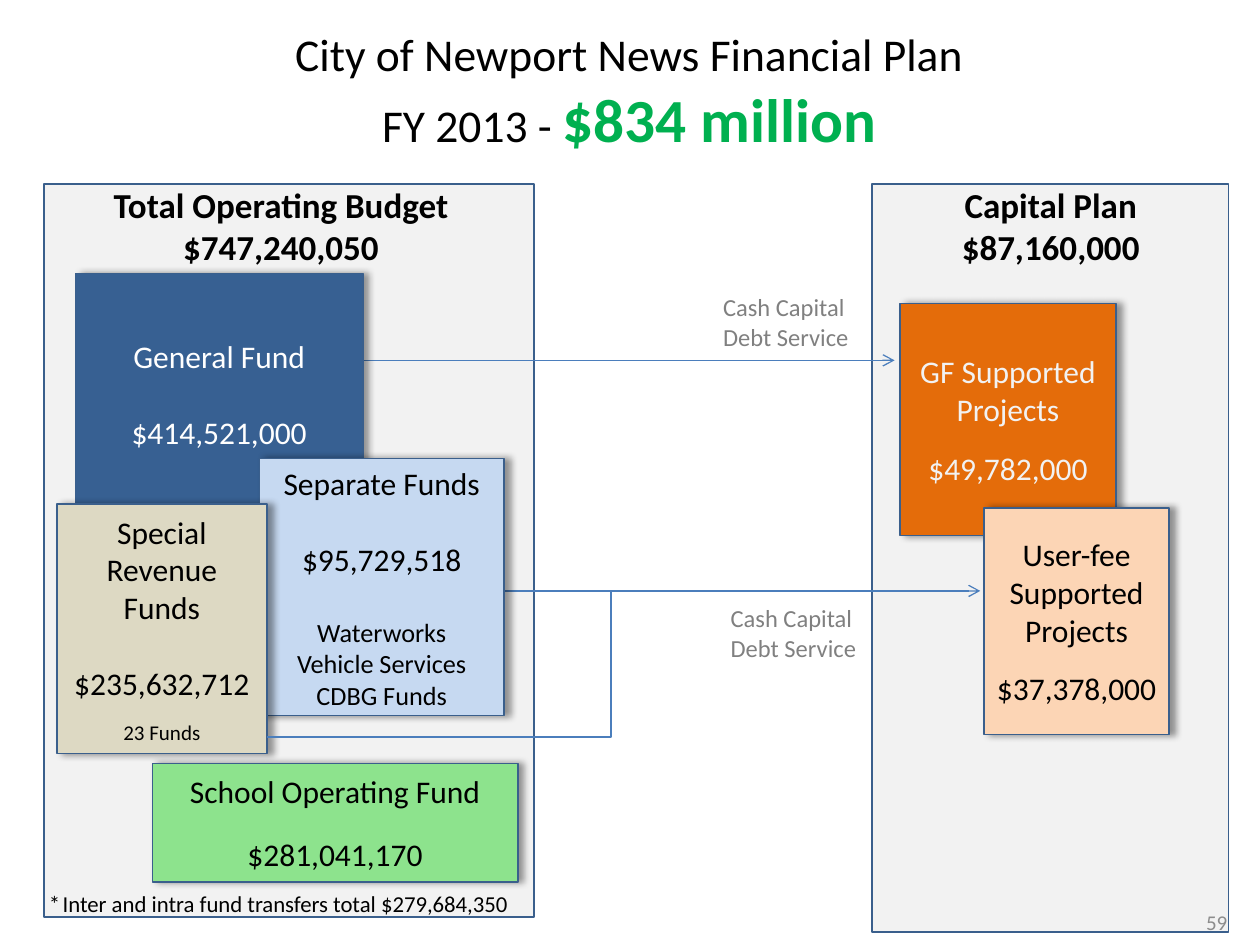
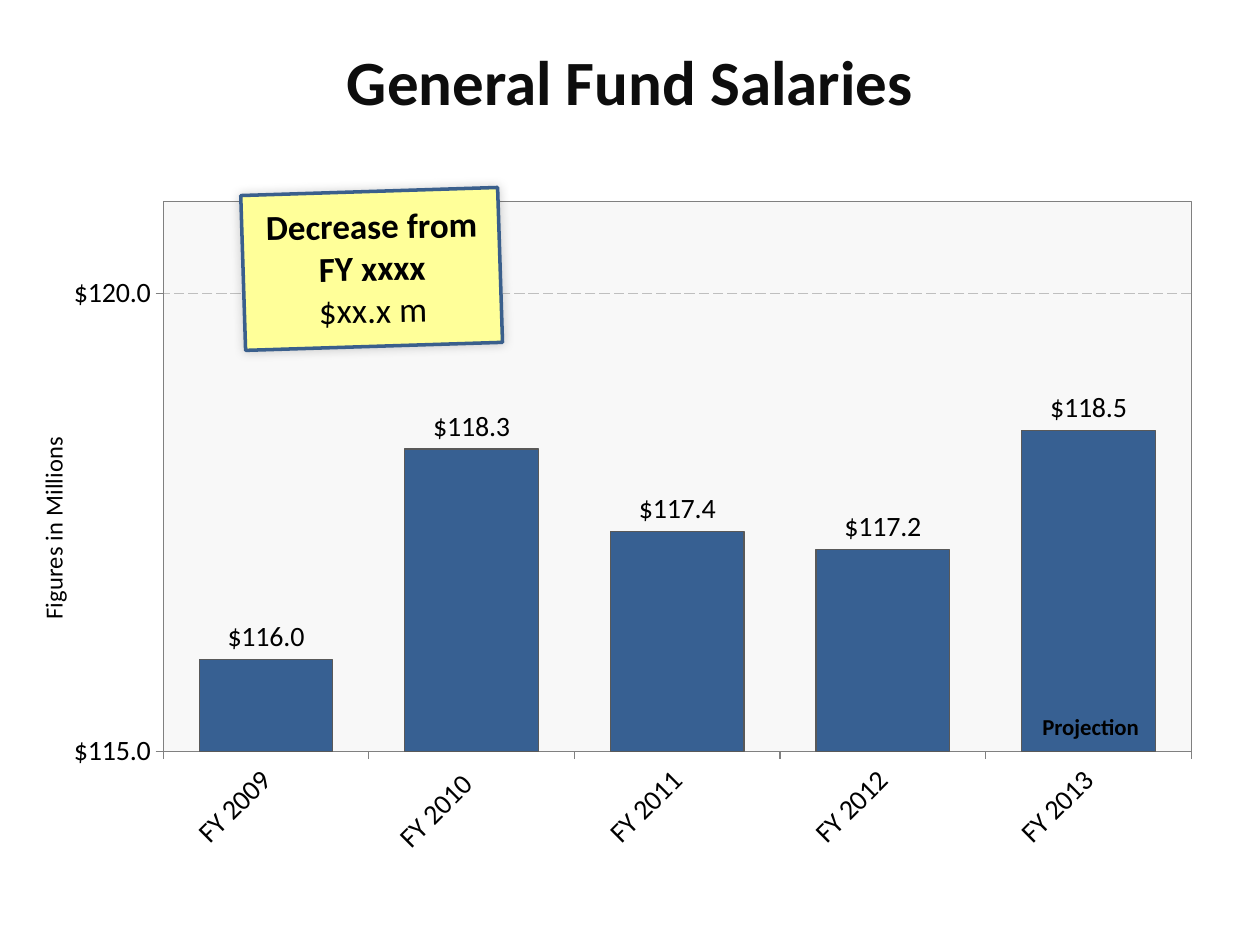
from lxml import etree
from pptx import Presentation
from pptx import util as u
from pptx.chart.data import CategoryChartData
from pptx.dml.color import RGBColor
from pptx.enum import chart as ch, dml, shapes, text
from pptx.oxml import parse_xml
from pptx.oxml.ns import nsdecls, qn

CELL = 0.1
FONT = "Calibri"
BLACK, GREY, PANEL, NAVY = "000000", "808080", "F2F2F2", "376092"
BORDER, ARROW = "3A5F8C", "4B7EBC"
LEFT, CENTER, RIGHT = text.PP_ALIGN.LEFT, text.PP_ALIGN.CENTER, text.PP_ALIGN.RIGHT
TOP, MIDDLE = text.MSO_ANCHOR.TOP, text.MSO_ANCHOR.MIDDLE
MONEY = '"$"#,##0.0'


def rgb(value):
    return RGBColor.from_string(value)


def grid(*cells):
    return [u.Inches(c * CELL) for c in cells]


def run(words, **fmt):
    return words, fmt


def style_font(font, size=18, color=BLACK, bold=False):
    font.name, font.size, font.bold = FONT, u.Pt(size), bold
    font.color.rgb = rgb(color)


def style_line(line, color, width):
    line.color.rgb, line.width = rgb(color), u.Pt(width)


def write(tf, paragraphs, align=CENTER, anchor=TOP, wrap=False, inset=0.1, **fmt):
    tf.word_wrap, tf.vertical_anchor = wrap, anchor
    tf.auto_size = text.MSO_AUTO_SIZE.NONE
    tf.margin_left = tf.margin_right = u.Inches(inset)
    tf.margin_top = tf.margin_bottom = u.Inches(0.05)
    for i, runs in enumerate(paragraphs):
        p = tf.paragraphs[0] if i == 0 else tf.add_paragraph()
        p.alignment = align
        for item in runs if isinstance(runs, list) else [runs]:
            words, own = item if isinstance(item, tuple) else run(item)
            own = {**fmt, **own}
            p.space_before = u.Pt(own.pop("gap", 0))
            r = p.add_run()
            r.text = words
            style_font(r.font, **own)


class Deck:
    def __init__(self):
        self.prs = Presentation()
        self.prs.slide_width, self.prs.slide_height = grid(100, 75)

    def slide(self, box, title, **fmt):
        self.s = self.prs.slides.add_slide(self.prs.slide_layouts[5])
        sp = self.s.shapes.title
        sp.left, sp.top, sp.width, sp.height = grid(*box)
        write(sp.text_frame, title, **fmt)

    def label(self, box, paragraphs, rotation=0, **fmt):
        sp = self.s.shapes.add_textbox(*grid(*box))
        sp.rotation = rotation
        write(sp.text_frame, paragraphs, **fmt)

    def box(self, box, fill, paragraphs=(), shadow=None, width=1, rotation=0, **fmt):
        sp = self.s.shapes.add_shape(shapes.MSO_SHAPE.RECTANGLE, *grid(*box))
        sp.rotation = rotation
        sp.fill.solid()
        sp.fill.fore_color.rgb = rgb(fill)
        style_line(sp.line, BORDER, width)
        sp.shadow.inherit = False
        if shadow:
            alpha, blur, distance, angle = shadow
            sp._element.spPr.find(qn("a:effectLst")).append(parse_xml(
                f'<a:outerShdw {nsdecls("a")} blurRad="{u.Pt(blur)}" dist="{u.Pt(distance)}" '
                f'dir="{angle * 60000}" algn="ctr" rotWithShape="0"><a:srgbClr val="{BLACK}">'
                f'<a:alpha val="{alpha * 1000}"/></a:srgbClr></a:outerShdw>'))
        if paragraphs:
            write(sp.text_frame, paragraphs, anchor=MIDDLE, wrap=True, inset=0.08, **fmt)

    def fund(self, box, fill, *paragraphs, **fmt):
        self.box(box, fill, paragraphs, shadow=(40, 4, 3, 0), **fmt)

    def connector(self, ends, kind=shapes.MSO_CONNECTOR.STRAIGHT, arrow=True):
        c = self.s.shapes.add_connector(kind, *grid(*ends))
        style_line(c.line, ARROW, 0.75)
        if arrow:
            etree.SubElement(c.line._get_or_add_ln(), qn("a:tailEnd"), type="arrow")
        etree.SubElement(c._element.spPr, qn("a:effectLst"))

    def columns(self, box, categories, values, axis_title):
        data = CategoryChartData(number_format=MONEY)
        data.categories = categories
        data.add_series("Series 1", values)
        chart = self.s.shapes.add_chart(
            ch.XL_CHART_TYPE.COLUMN_CLUSTERED, *grid(*box), data).chart
        chart.has_legend = chart.has_title = False
        style_font(chart.font)
        plot = chart.plots[0]
        plot.vary_by_categories, plot.gap_width = False, 54
        bars = plot.series[0].format
        bars.fill.solid()
        bars.fill.fore_color.rgb = rgb(NAVY)
        style_line(bars.line, "595959", 0.75)
        plot.has_data_labels = True
        labels = plot.data_labels
        labels.show_value = True
        labels.number_format, labels.number_format_is_linked = MONEY, False
        labels.position = ch.XL_LABEL_POSITION.OUTSIDE_END
        style_font(labels.font, 16)
        cat, val = chart.category_axis, chart.value_axis
        for axis in (cat, val):
            axis.major_tick_mark = ch.XL_TICK_MARK.OUTSIDE
            axis.minor_tick_mark = ch.XL_TICK_MARK.NONE
            style_line(axis.format.line, GREY, 0.75)
            style_font(axis.tick_labels.font, 16)
        cat._element.find(qn("c:txPr")).find(qn("a:bodyPr")).set("rot", "-2700000")
        val.minimum_scale, val.maximum_scale, val.major_unit = 115, 121, 5
        val.tick_labels.number_format = MONEY
        val.tick_labels.number_format_is_linked = False
        val.has_major_gridlines = True
        style_line(val.major_gridlines.format.line, "BFBFBF", 0.75)
        val.major_gridlines.format.line.dash_style = dml.MSO_LINE.LONG_DASH
        write_title = val.axis_title.text_frame.paragraphs[0].add_run()
        write_title.text = axis_title
        style_font(write_title.font, 14)
        self.plot_area(chart, x=0.11, y=0.087, w=0.859, h=0.727)

    def plot_area(self, chart, **shares):
        area = chart._chartSpace.chart.plotArea
        for old in area.findall(qn("c:layout")):
            area.remove(old)
        sizes = "".join(f'<c:{k} val="{v}"/>' for k, v in shares.items())
        area.insert(0, parse_xml(
            f'<c:layout {nsdecls("c")}><c:manualLayout><c:layoutTarget val="inner"/>'
            f'<c:xMode val="edge"/><c:yMode val="edge"/>{sizes}</c:manualLayout></c:layout>'))
        area.append(parse_xml(
            f'<c:spPr {nsdecls("c", "a")}><a:solidFill><a:srgbClr val="{PANEL}">'
            f'<a:alpha val="51000"/></a:srgbClr></a:solidFill><a:ln w="9525"><a:solidFill>'
            f'<a:srgbClr val="{GREY}"/></a:solidFill></a:ln></c:spPr>'))


def financial_plan(d):
    d.slide((22.2, 1.6, 55.5, 11.3),
            ["City of Newport News Financial Plan",
             ["FY 2013 - ", run("$834 million", size=35, color="00B050", bold=True)]], size=26)
    for panel in ((69.2, 14.6, 28.3, 59.4), (3.5, 14.6, 38.9, 58.2)):
        d.box(panel, PANEL)
    for left, width, heading in ((7.9, 28.8, ["Total Operating Budget", "$747,240,050"]),
                                 (75, 16.8, ["Capital Plan", "$87,160,000"])):
        d.label((left, 14.1, width, 7.7), heading, size=20, bold=True)
    for left, top in ((56.4, 22.7), (57, 47.4)):
        d.label((left, top, 12.1, 5.7), ["Cash Capital", "Debt Service"],
                align=LEFT, size=14, color=GREY)
    d.fund((71.4, 24.1, 17.2, 18.4), "E46C0A", "GF Supported Projects",
           run("$49,782,000", gap=12), color=PANEL)
    d.connector((25.2, 28.6, 71, 28.6))
    d.connector((35.7, 46.9, 77.8, 46.9))
    d.fund((6, 21.7, 22.8, 19.1), NAVY, "General Fund",
           run("$414,521,000", gap=22), color="FFFFFF")
    d.fund((20.6, 36.4, 19.4, 20.4), "C6D9F1", "Separate Funds", run("$95,729,518", gap=22),
           run("Waterworks", size=15, gap=22), run("Vehicle Services", size=15),
           run("CDBG Funds", size=15))
    d.fund((78.1, 40.3, 14.7, 18), "FCD5B5", "User-fee Supported Projects",
           run("$37,378,000", gap=12))
    d.fund((4.5, 40, 16.7, 19.8), "DDD9C3", "Special Revenue Funds",
           run("$235,632,712", gap=22), run("23 Funds", size=12, gap=10))
    d.label((2.9, 70.1, 40, 3.2),
            [["*", run(" ", size=6), "Inter and intra fund transfers total $279,684,350"]],
            align=LEFT, size=13)
    d.fund((12.1, 60.6, 29, 9.4), "8DE38D", "School Operating Fund",
           run("$281,041,170", gap=14.5))
    d.connector((21.2, 58.5, 75.8, 46.9), shapes.MSO_CONNECTOR.ELBOW, arrow=False)
    d.label((75.1, 71.2, 23.3, 4), ["59"], align=RIGHT, anchor=MIDDLE, wrap=True,
            size=12, color="8C8C8C")


def salaries(d):
    d.slide((26.3, 2.9, 47.4, 7.1), ["General Fund Salaries"],
            size=36, color="0D0D0D", bold=True)
    d.columns((2.5, 10.8, 95, 60), ["FY 2009", "FY 2010 ", "FY 2011", "FY 2012", "FY 2013"],
              [116, 118.3, 117.4, 117.2, 118.5], "Figures in Millions")
    d.box((19.3, 15.2, 20.4, 12.3), "FFFF99", shadow=(20, 6, 0, 315), width=2, rotation=358.2)
    d.label((18, 15.7, 23.1, 11.1), ["Decrease from", "FY xxxx", run("$xx.x m", bold=False)],
            rotation=359, wrap=True, size=20, bold=True)
    d.label((83.2, 56.1, 6.7, 3.5), ["Projection"], size=13, bold=True)


def main():
    d = Deck()
    financial_plan(d)
    salaries(d)
    d.prs.save("out.pptx")


if __name__ == "__main__":
    main()
